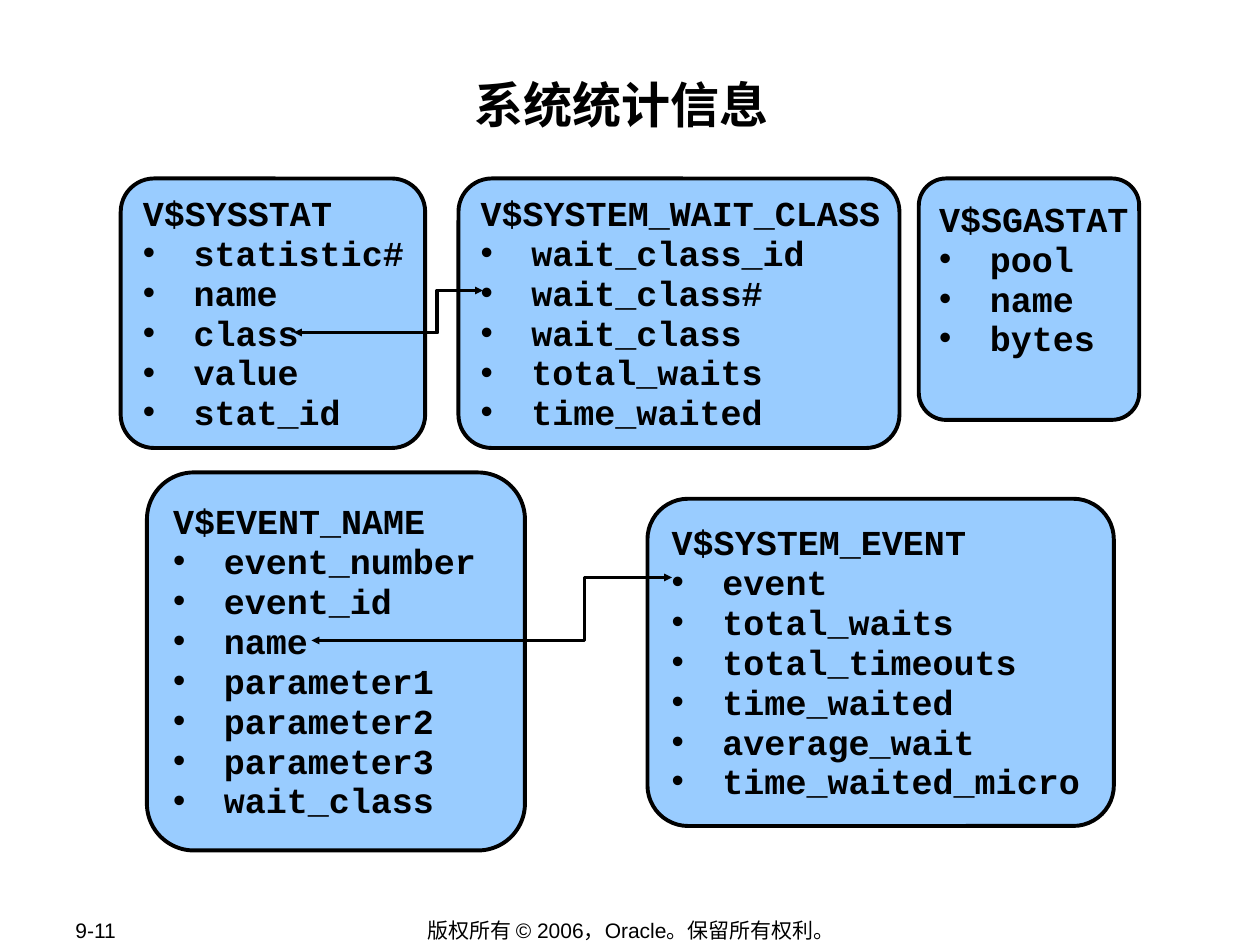
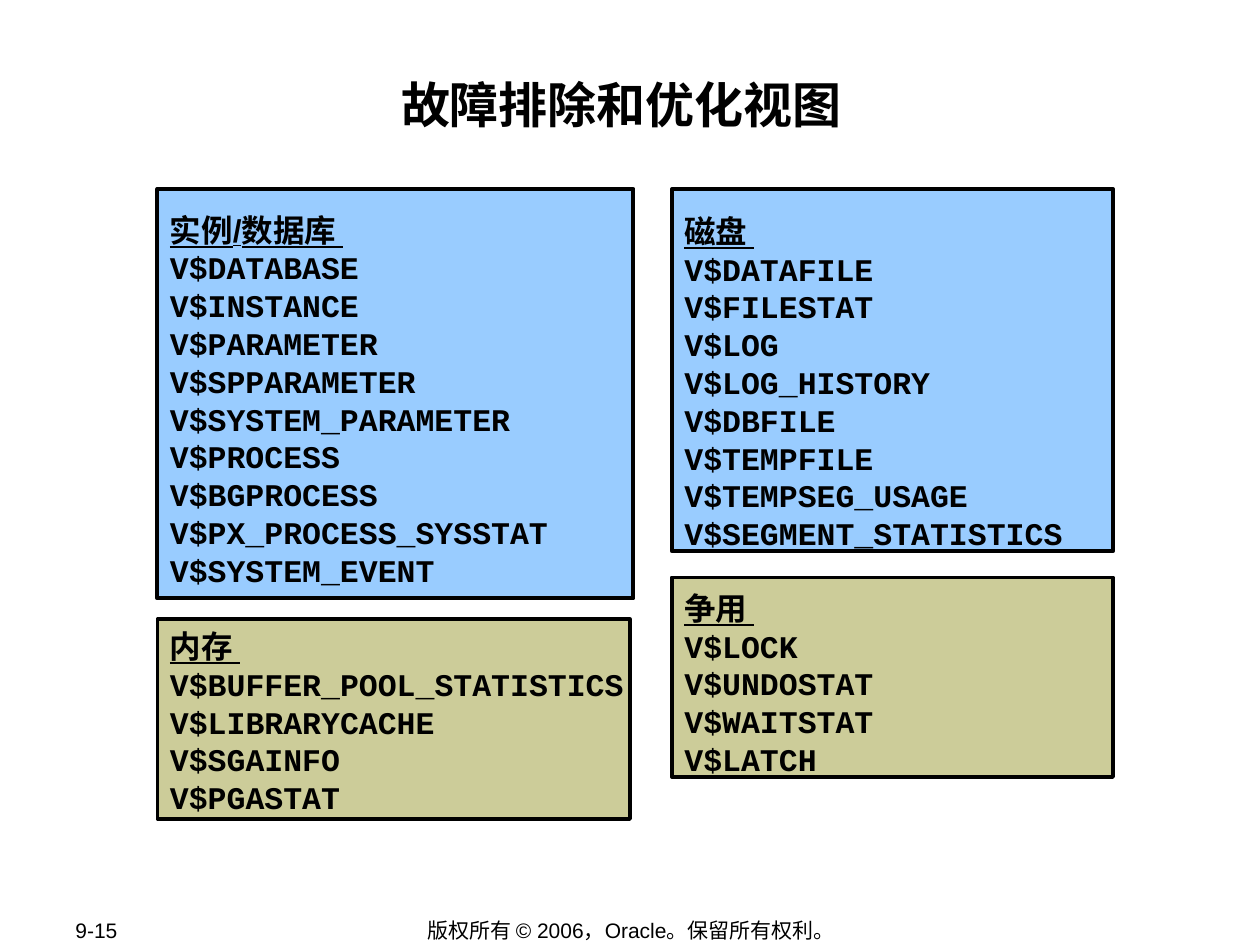
from dataclasses import dataclass

from lxml import etree
from pptx import Presentation
from pptx.dml.color import RGBColor
from pptx.enum.shapes import MSO_SHAPE
from pptx.enum.text import MSO_ANCHOR, PP_ALIGN
from pptx.oxml.ns import qn
from pptx.util import Pt

ROUNDED = MSO_SHAPE.ROUNDED_RECTANGLE
RECTANGLE = MSO_SHAPE.RECTANGLE
TOP = MSO_ANCHOR.TOP
MIDDLE = MSO_ANCHOR.MIDDLE
LEFT = PP_ALIGN.LEFT
CENTER = PP_ALIGN.CENTER


@dataclass(frozen=True)
class Theme:
    black: str = "000000"
    blue: str = "99CCFF"
    olive: str = "CCCC99"
    sans: str = "Arial"
    mono: str = "Courier New"
    chinese: str = "Noto Sans CJK SC"
    title_size: float = 28
    view_size: float = 20
    panel_size: float = 18
    footer_size: float = 12
    view_leading: float = 22.8
    panel_leading: float = 21.6
    heading_leading: float = 24.5
    line_width: float = 2.25
    corner: float = 0.124
    bullet_indent: float = 29
    side_inset: float = 7.2
    edge_inset: float = 3.6


THEME = Theme()
COPYRIGHT = "版权所有 © 2006，Oracle。保留所有权利。"

STATISTICS = {
    "title": "系统统计信息",
    "number": "9-11",
    "views": [
        ("V$SGASTAT", (525, 102, 126, 138), 1, ["pool", "name", "bytes"]),
        ("V$SYSSTAT", (69, 102, 174, 154), 0,
         ["statistic#", "name", "class", "value", "stat_id"]),
        ("V$SYSTEM_EVENT", (370, 285, 266.5, 187), 0,
         ["event", "total_waits", "total_timeouts", "time_waited",
          "average_wait", "time_waited_micro"]),
        ("V$EVENT_NAME", (84, 270, 216, 216), 0,
         ["event_number", "event_id", "name", "parameter1", "parameter2",
          "parameter3", "wait_class"]),
        ("V$SYSTEM_WAIT_CLASS", (262, 102, 252, 154), 0,
         ["wait_class_id", "wait_class#", "wait_class", "total_waits",
          "time_waited"]),
    ],
    "links": [
        ((178, 366), 334, (384, 330)),
        ((168, 190), 250, (276, 166)),
    ],
}

TUNING = {
    "title": "故障排除和优化视图",
    "number": "9-15",
    "panels": [
        ("实例/数据库 ", (90, 108, 272, 234), 9.4, THEME.blue,
         ["V$DATABASE", "V$INSTANCE", "V$PARAMETER", "V$SPPARAMETER",
          "V$SYSTEM_PARAMETER", "V$PROCESS", "V$BGPROCESS",
          "V$PX_PROCESS_SYSSTAT", "V$SYSTEM_EVENT"]),
        ("磁盘 ", (384, 108, 252, 207), 10.1, THEME.blue,
         ["V$DATAFILE", "V$FILESTAT", "V$LOG", "V$LOG_HISTORY", "V$DBFILE",
          "V$TEMPFILE", "V$TEMPSEG_USAGE", "V$SEGMENT_STATISTICS"]),
        ("争用 ", (384, 330, 252, 114), 3.6, THEME.olive,
         ["V$LOCK", "V$UNDOSTAT", "V$WAITSTAT", "V$LATCH"]),
        ("内存 ", (90, 354, 270, 114), 1.4, THEME.olive,
         ["V$BUFFER_POOL_STATISTICS", "V$LIBRARYCACHE", "V$SGAINFO",
          "V$PGASTAT"]),
    ],
}


def set_frame(shape, anchor, left, top, right, bottom, wrap=True):
    frame = shape.text_frame
    frame.word_wrap = wrap
    frame.vertical_anchor = anchor
    frame.margin_left, frame.margin_top = Pt(left), Pt(top)
    frame.margin_right, frame.margin_bottom = Pt(right), Pt(bottom)
    return frame


def add_run(paragraph, text, font_name, size, bold=True, underline=False):
    run = paragraph.add_run()
    run.text = text
    font = run.font
    font.name = font_name
    font.size = Pt(size)
    font.bold = bold
    font.underline = underline
    font.color.rgb = RGBColor.from_string(THEME.black)
    east_asian = etree.SubElement(font._element, qn("a:ea"))
    east_asian.set("typeface", THEME.chinese)


def add_paragraph(frame, first, leading):
    paragraph = frame.paragraphs[0] if first else frame.add_paragraph()
    paragraph.alignment = LEFT
    paragraph.line_spacing = Pt(leading)
    return paragraph


def add_bullet(paragraph):
    properties = paragraph._p.get_or_add_pPr()
    indent = Pt(THEME.bullet_indent)
    properties.set("marL", str(indent))
    properties.set("indent", str(-indent))
    color = etree.SubElement(properties, qn("a:buClr"))
    etree.SubElement(color, qn("a:srgbClr")).set("val", THEME.black)
    etree.SubElement(properties, qn("a:buFont")).set("typeface", THEME.sans)
    etree.SubElement(properties, qn("a:buChar")).set("char", "•")


def set_line(shape):
    shape.shadow.inherit = False
    shape.line.color.rgb = RGBColor.from_string(THEME.black)
    shape.line.width = Pt(THEME.line_width)


def add_box(slide, kind, box, color):
    shape = slide.shapes.add_shape(kind, *map(Pt, box))
    set_line(shape)
    shape.fill.solid()
    shape.fill.fore_color.rgb = RGBColor.from_string(color)
    return shape


def add_view(slide, name, box, spare_lines, columns):
    shape = add_box(slide, ROUNDED, box, THEME.blue)
    shape.adjustments[0] = THEME.corner
    bottom = THEME.edge_inset + spare_lines * THEME.view_leading
    frame = set_frame(shape, MIDDLE, THEME.side_inset, THEME.edge_inset, 0, bottom)
    for index, text in enumerate([name, *columns]):
        paragraph = add_paragraph(frame, index == 0, THEME.view_leading)
        if index:
            add_bullet(paragraph)
        add_run(paragraph, text, THEME.mono, THEME.view_size)


def add_link(slide, start, turn, end):
    builder = slide.shapes.build_freeform(Pt(start[0]), Pt(start[1]))
    corners = [(turn, start[1]), (turn, end[1]), end]
    builder.add_line_segments([(Pt(x), Pt(y)) for x, y in corners], close=False)
    shape = builder.convert_to_shape()
    shape.fill.background()
    set_line(shape)
    line = shape.line._get_or_add_ln()
    for tag in ("a:headEnd", "a:tailEnd"):
        arrow = etree.SubElement(line, qn(tag))
        for key, value in (("type", "triangle"), ("w", "sm"), ("len", "sm")):
            arrow.set(key, value)


def add_panel(slide, heading, box, top, color, views):
    shape = add_box(slide, RECTANGLE, box, color)
    frame = set_frame(shape, TOP, THEME.side_inset, top, 0, 0)
    paragraph = add_paragraph(frame, True, THEME.heading_leading)
    add_run(paragraph, heading, THEME.sans, THEME.panel_size, underline=True)
    for view in views:
        paragraph = add_paragraph(frame, False, THEME.panel_leading)
        add_run(paragraph, view, THEME.mono, THEME.panel_size)


def add_footer(slide, text, box, alignment):
    shape = slide.shapes.add_textbox(*map(Pt, box))
    side, edge = THEME.side_inset, THEME.edge_inset
    frame = set_frame(shape, MIDDLE, side, edge, side, edge)
    paragraph = frame.paragraphs[0]
    paragraph.alignment = alignment
    add_run(paragraph, text, THEME.sans, THEME.footer_size, bold=False)


def add_slide(presentation, content):
    slide = presentation.slides.add_slide(presentation.slide_layouts[6])
    add_footer(slide, content["number"], (36, 524, 76, 15), LEFT)
    add_footer(slide, COPYRIGHT, (199, 524, 323, 15), CENTER)
    title = slide.shapes.add_textbox(Pt(67), Pt(42), Pt(576), Pt(69))
    paragraph = set_frame(title, TOP, 0.7, 0.7, 0.7, 0.7).paragraphs[0]
    paragraph.alignment = CENTER
    add_run(paragraph, content["title"], THEME.sans, THEME.title_size)
    for view in content.get("views", []):
        add_view(slide, *view)
    for link in content.get("links", []):
        add_link(slide, *link)
    for panel in content.get("panels", []):
        add_panel(slide, *panel)


def main():
    presentation = Presentation()
    presentation.slide_width = Pt(720)
    presentation.slide_height = Pt(540)
    for content in (STATISTICS, TUNING):
        add_slide(presentation, content)
    presentation.save("out.pptx")


if __name__ == "__main__":
    main()
